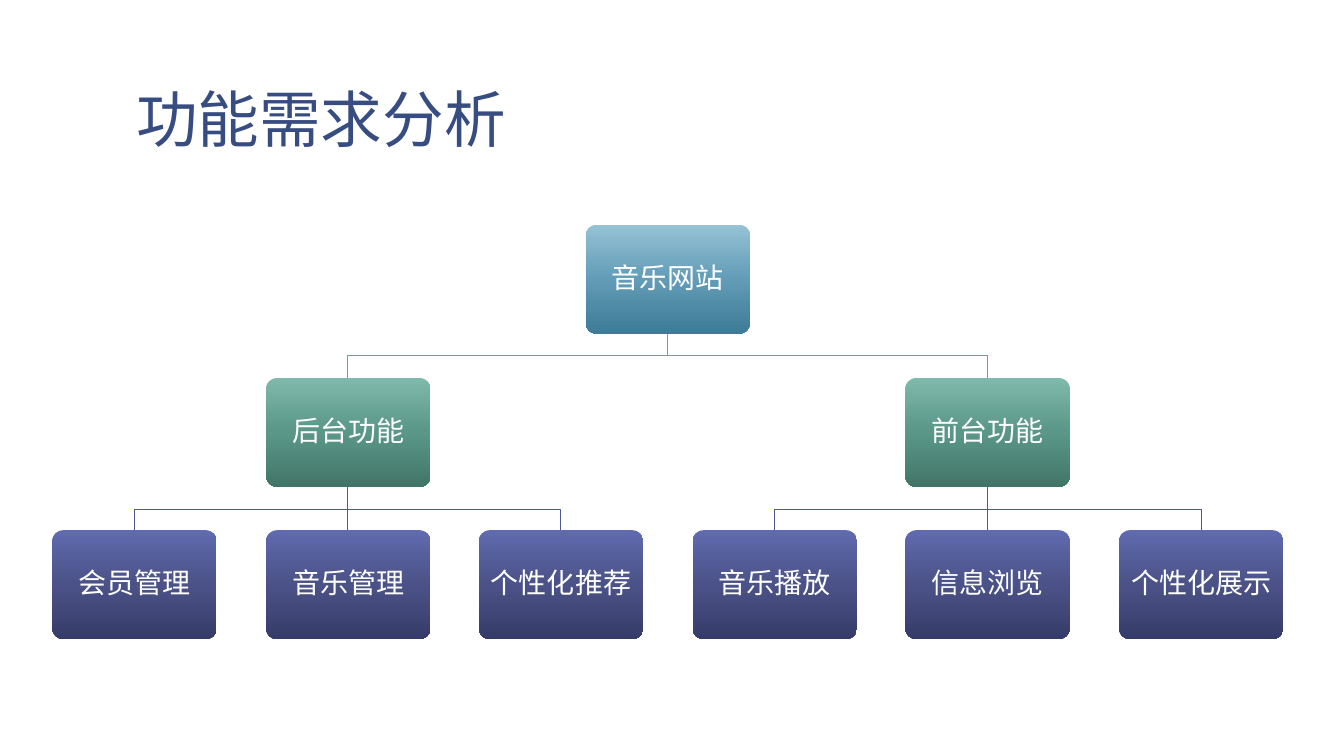
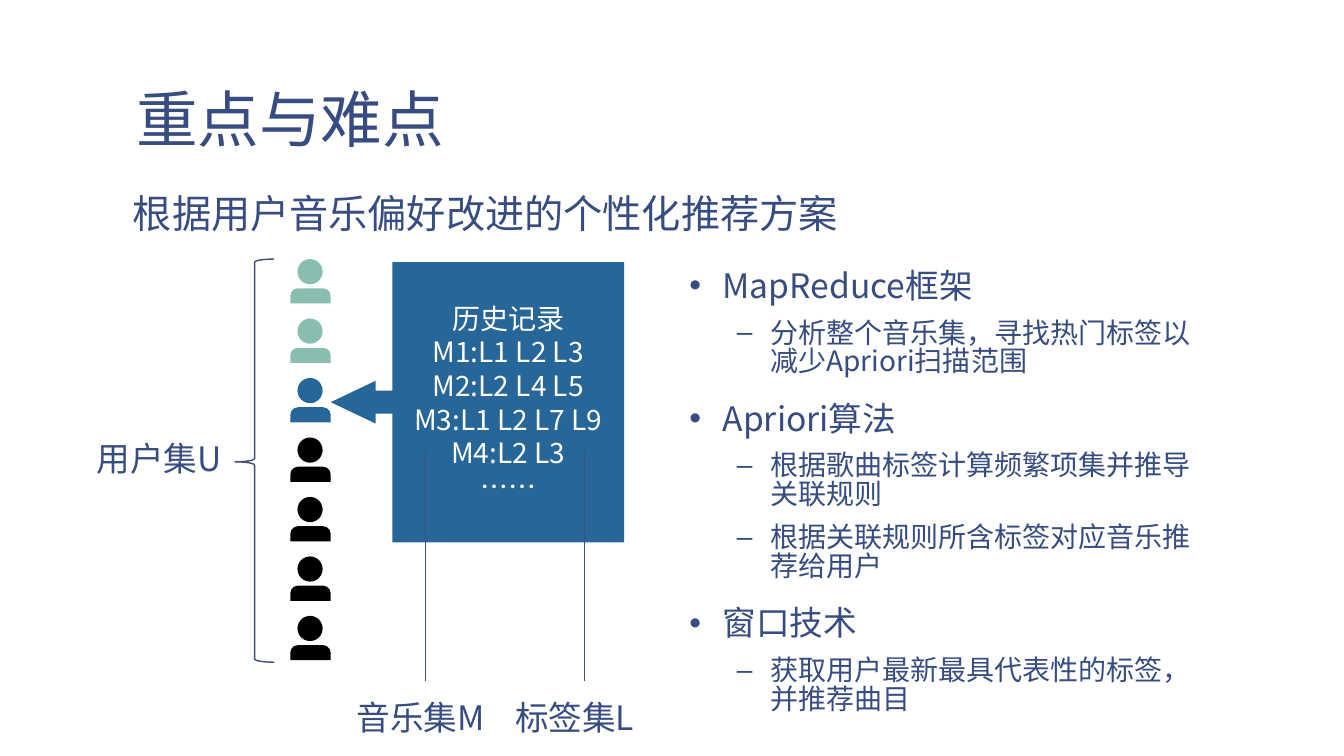
from copy import deepcopy
from dataclasses import dataclass

from lxml import etree
from pptx import Presentation
from pptx.dml.color import RGBColor
from pptx.enum.shapes import MSO_CONNECTOR, MSO_SHAPE
from pptx.enum.text import MSO_ANCHOR, PP_ALIGN
from pptx.oxml.ns import qn
from pptx.util import Pt

PX = 9144  # 100 px to the inch
STRAIGHT = MSO_CONNECTOR.STRAIGHT
ROUNDED, OVAL = MSO_SHAPE.ROUNDED_RECTANGLE, MSO_SHAPE.OVAL
SHOULDERS = MSO_SHAPE.ROUND_2_SAME_RECTANGLE
BRACE, CALLOUT = MSO_SHAPE.LEFT_BRACE, MSO_SHAPE.LEFT_ARROW_CALLOUT
TOP, MIDDLE, BOTTOM = MSO_ANCHOR.TOP, MSO_ANCHOR.MIDDLE, MSO_ANCHOR.BOTTOM
CENTER = PP_ALIGN.CENTER


@dataclass(frozen=True)
class Theme:
    font: str = "Noto Sans CJK SC"
    ink: str = "374C81"
    white: str = "FFFFFF"
    rule: str = "414E77"
    blue: str = "276698"
    mint: str = "88BDB0"
    black: str = "000000"
    root: tuple = ("96C2D5", "629CB7", "3E7B96")
    branch: tuple = ("7FB9AB", "5A9788", "417568")
    leaf: tuple = ("606AAF", "4B5287", "363C69")
    branch_line: str = "61A796"
    leaf_line: str = "4E5798"
    title: int = 44
    subtitle: int = 28
    body: int = 24
    small: int = 20


T = Theme()


def paint(shape, fill=None, line=None, width=1, adj=()):
    """Fill with a colour or a tuple of gradient colours; no line or shadow unless given."""
    if isinstance(fill, tuple):
        shape.fill.gradient()
        shape.fill.gradient_angle = 270
        stops = shape._element.spPr.find(".//" + qn("a:gsLst"))
        stops.append(deepcopy(stops[0]))
        for i, (stop, color) in enumerate(zip(shape.fill.gradient_stops, fill)):
            stop.position = i / 2
            stop.color.rgb = RGBColor.from_string(color)
    elif fill:
        shape.fill.solid()
        shape.fill.fore_color.rgb = RGBColor.from_string(fill)
    elif hasattr(shape, "fill"):
        shape.fill.background()
    if line:
        shape.line.color.rgb = RGBColor.from_string(line)
        shape.line.width = Pt(width)
    else:
        shape.line.fill.background()
    for i, value in enumerate(adj):
        shape.adjustments[i] = value
    etree.SubElement(shape._element.spPr, qn("a:effectLst"))


def write(shape, paragraphs, color, anchor=TOP, inset=(10, 5), **common):
    """Write (text, size, format, bullet) paragraphs; common formats apply to all."""
    tf = shape.text_frame
    tf.word_wrap = True
    tf.vertical_anchor = anchor
    tf.margin_left = tf.margin_right = inset[0] * PX
    tf.margin_top = tf.margin_bottom = inset[1] * PX
    for i, (text, size, fmt, bullet) in enumerate(paragraphs):
        p = tf.add_paragraph() if i else tf.paragraphs[0]
        for name, value in {**common, **fmt}.items():
            setattr(p, name, value)
        if bullet:
            char, left = bullet
            pPr = p._p.get_or_add_pPr()
            pPr.set("marL", str(left * PX))
            pPr.set("indent", str(-33 * PX))
            etree.SubElement(pPr, qn("a:buFont"), typeface="Arial")
            etree.SubElement(pPr, qn("a:buChar"), char=char)
        r = p.add_run()
        r.text = text
        r.font.size = Pt(size)
        r.font.color.rgb = RGBColor.from_string(color)
        r.font.name = T.font
        etree.SubElement(r._r.get_or_add_rPr(), qn("a:ea"), typeface=T.font)


prs = Presentation()
prs.slide_width, prs.slide_height = 1333 * PX, 750 * PX
slides = []
for title in ("功能需求分析", "重点与难点"):
    s = prs.slides.add_slide(prs.slide_layouts[6])
    box = s.shapes.add_textbox(122 * PX, 8 * PX, 1111 * PX, 153 * PX)
    write(box, [(title, T.title, {}, None)], T.ink, BOTTOM, (13, 7), line_spacing=0.85)
    slides.append(s)
tree, method = slides

# Function tree: columns are counted in leaf positions
BOX_W, BOX_H = 163, 108
ROWS = (223, 375, 526)
LEVELS = (T.root, T.branch, T.leaf)
LINKS = (None, T.branch_line, T.leaf_line)
NODES = [  # text, level, column, parent column
    ("音乐网站", 0, 2.5, None),
    ("后台功能", 1, 1, 2.5),
    ("会员管理", 2, 0, 1),
    ("音乐管理", 2, 1, 1),
    ("个性化推荐", 2, 2, 1),
    ("前台功能", 1, 4, 2.5),
    ("音乐播放", 2, 3, 4),
    ("信息浏览", 2, 4, 4),
    ("个性化展示", 2, 5, 4),
]
for text, level, column, parent in NODES:
    left, top = round(52 + column * 211.6), ROWS[level]
    sp = tree.shapes.add_shape(ROUNDED, left * PX, top * PX, BOX_W * PX, BOX_H * PX)
    paint(sp, LEVELS[level], adj=(0.1,))
    write(sp, [(text, T.small, {}, None)], T.white, MIDDLE, (8, 8),
          alignment=CENTER, line_spacing=0.9)
    if parent is None:
        continue
    x = left + BOX_W // 2
    x0, y0 = round(52 + parent * 211.6) + BOX_W // 2, ROWS[level - 1] + BOX_H
    if x == x0:
        link = tree.shapes.add_connector(STRAIGHT, x * PX, y0 * PX, x * PX, top * PX)
    else:
        bend = y0 + 22
        path_builder = tree.shapes.build_freeform(x0, y0, scale=PX)
        path_builder.add_line_segments([(x0, bend), (x, bend), (x, top)], close=False)
        link = path_builder.convert_to_shape()
    paint(link, line=LINKS[level], width=0.5)

# Users, one of them linked to a listening history
for i, color in enumerate([T.mint] * 2 + [T.blue] + [T.black] * 4):
    user = method.shapes.add_group_shape()
    y = 257 + 59 * i
    for kind, at, adj in ((OVAL, (295, y, 25, 25), ()),
                          (SHOULDERS, (288, y + 29, 40, 15), (0.5, 0))):
        sp = user.shapes.add_shape(kind, *[v * PX for v in at])
        paint(sp, color, adj=adj)

brace = method.shapes.add_shape(BRACE, 233 * PX, 257 * PX, 39 * PX, 400 * PX)
paint(brace, line=T.rule, adj=(0.083, 0.503))

history = method.shapes.add_shape(CALLOUT, 328 * PX, 260 * PX, 291 * PX, 278 * PX)
paint(history, T.blue, adj=(0.082, 0.076, 0.16, 0.79))
RECORDS = ("历史记录", "M1:L1 L2 L3", "M2:L2 L4 L5", "M3:L1 L2 L7 L9", "M4:L2 L3", "……")
write(history, [(text, T.small, {}, None) for text in RECORDS], T.white, MIDDLE,
      alignment=CENTER)

for x in (422, 580):
    line = method.shapes.add_connector(STRAIGHT, x * PX, 447 * PX, x * PX, 676 * PX)
    paint(line, line=T.rule)

for text, at, fmt in (
    ("用户集U", (83, 432, 150, 48), {"alignment": CENTER}),
    ("音乐集M", (344, 689, 158, 48), {}),
    ("标签集L", (501, 689, 158, 48), {}),
):
    label = method.shapes.add_textbox(*[v * PX for v in at])
    write(label, [(text, T.body, fmt, None)], T.ink, line_spacing=0.95)

HEAD = (T.body, {"space_before": Pt(18.7)}, ("•", 33))
ITEM = (T.small, {"space_before": Pt(10.7), "level": 1}, ("–", 80))
POINTS = [
    ("MapReduce框架", *HEAD),
    ("分析整个音乐集，寻找热门标签以减少Apriori扫描范围", *ITEM),
    ("Apriori算法", *HEAD),
    ("根据歌曲标签计算频繁项集并推导关联规则", *ITEM),
    ("根据关联规则所含标签对应音乐推荐给用户", *ITEM),
    ("窗口技术", *HEAD),
    ("获取用户最新最具代表性的标签，并推荐曲目", *ITEM),
]
body = method.shapes.add_textbox(674 * PX, 264 * PX, 537 * PX, 489 * PX)
write(body, POINTS, T.ink, line_spacing=0.85)

subtitle = method.shapes.add_textbox(122 * PX, 186 * PX, 1111 * PX, 489 * PX)
write(subtitle, [("根据用户音乐偏好改进的个性化推荐方案", T.subtitle, {}, None)], T.ink,
      line_spacing=0.95, space_before=Pt(18.7))

prs.save("out.pptx")
